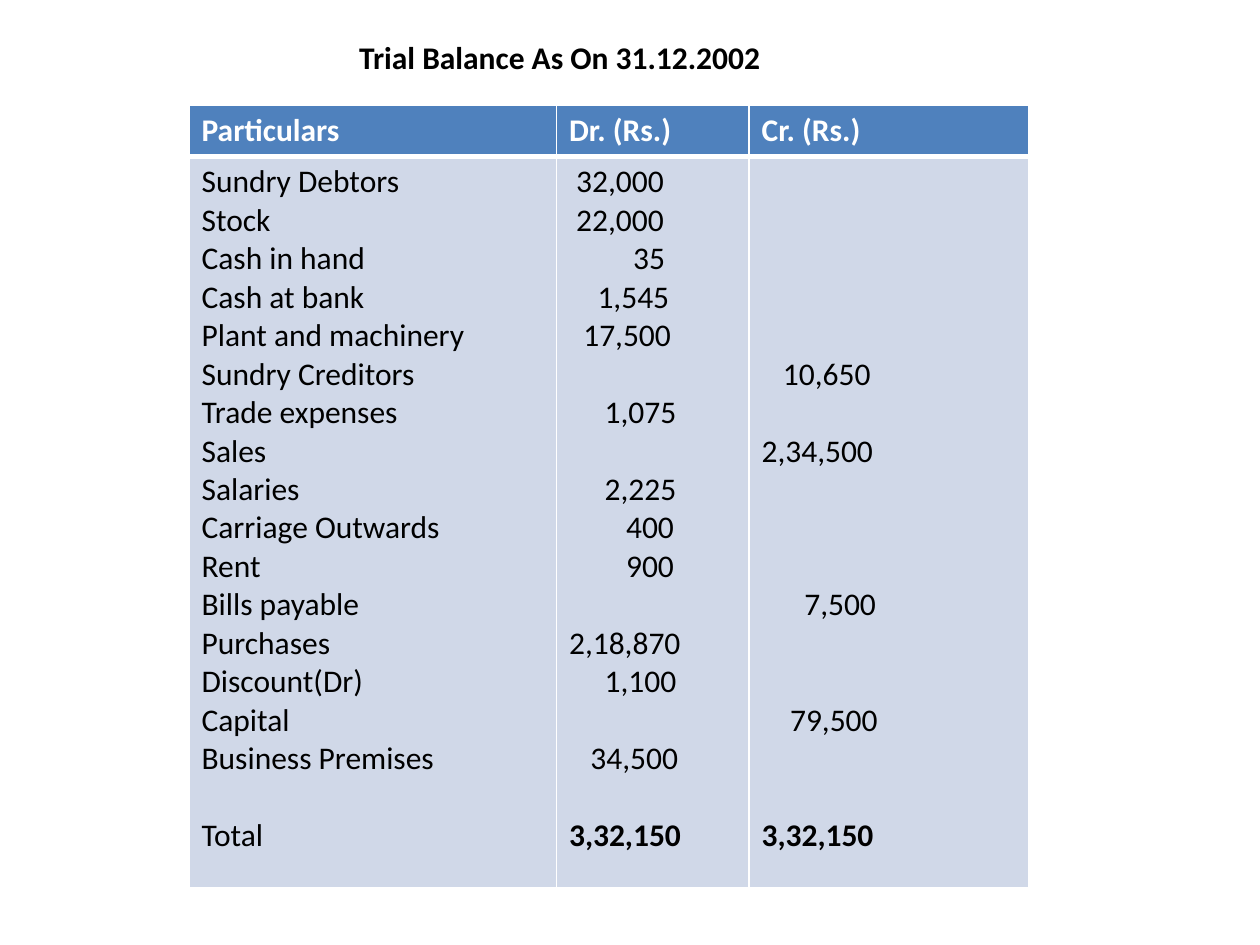
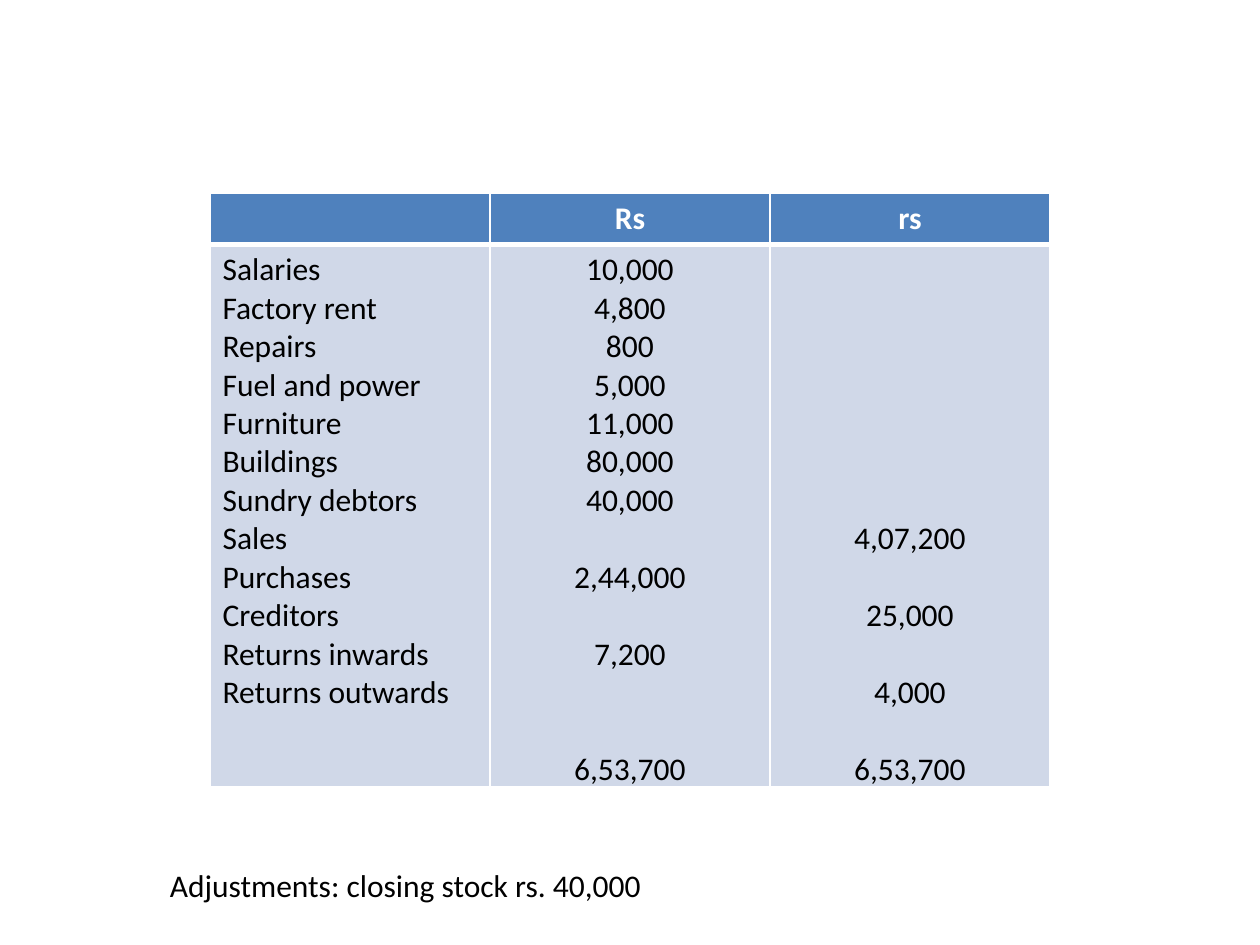
from dataclasses import dataclass

from lxml.etree import SubElement
from pptx import Presentation
from pptx.dml.color import RGBColor
from pptx.enum.text import MSO_ANCHOR as Anchor, MSO_AUTO_SIZE as AutoSize, PP_ALIGN as Align
from pptx.oxml.ns import qn
from pptx.util import Inches, Pt

WIDTH, HEIGHT = Inches(10), Inches(7.5)
TITLE_ONLY, BLANK = 5, 6
FONT = {"name": "Calibri", "size": Pt(18)}
LINE = Pt(21.97)  # one text line at 18 pt
INDENT = Pt(4.07)  # one indent step
HEADER_HEIGHT = 0.41 / 7.5
TABLE_WIDTH = 2 / 3
WHITE, BLACK, BLUE, PALE = "FFFFFF", "000000", "4F81BD", "D0D8E8"


@dataclass(frozen=True)
class Entry:
    account: str
    debit: str = ""
    credit: str = ""
    steps: int = 0  # indent of the amount
    gap: int = 0  # free lines above
    bold: bool = False  # bold amounts


@dataclass(frozen=True)
class Ledger:
    """Left, top and body height are shares of the slide, columns shares of the table."""
    left: float
    top: float
    body: float
    columns: tuple[float, ...]
    headings: tuple[str, ...]
    entries: tuple[Entry, ...]
    align: Align


TRIAL_BALANCE = Ledger(
    0.15, 1 / 9, 5.8 / 7.5, (0.4375, 0.2292, 0.3333),
    ("Particulars", "Dr. (Rs.)", "Cr. (Rs.)"),
    (
        Entry("Sundry Debtors", "32,000", steps=1),
        Entry("Stock", "22,000", steps=1),
        Entry("Cash in hand", "35", steps=9),
        Entry("Cash at bank", "1,545", steps=4),
        Entry("Plant and machinery", "17,500", steps=2),
        Entry("Sundry Creditors", credit="10,650", steps=3),
        Entry("Trade expenses", "1,075", steps=5),
        Entry("Sales", credit="2,34,500"),
        Entry("Salaries", "2,225", steps=5),
        Entry("Carriage Outwards", "400", steps=8),
        Entry("Rent", "900", steps=8),
        Entry("Bills payable", credit="7,500", steps=6),
        Entry("Purchases", "2,18,870"),
        Entry("Discount(Dr)", "1,100", steps=5),
        Entry("Capital", credit="79,500", steps=4),
        Entry("Business Premises", "34,500", steps=3),
        Entry("Total", "3,32,150", "3,32,150", gap=1, bold=True),
    ),
    Align.LEFT,
)

ADJUSTED_BALANCE = Ledger(
    1 / 6, 0.204, 4.3 / 7.5, (1 / 3, 1 / 3, 1 / 3),
    ("", "Rs", "rs"),
    (
        Entry("Salaries", "10,000"),
        Entry("Factory rent", "4,800"),
        Entry("Repairs", "800"),
        Entry("Fuel and power", "5,000"),
        Entry("Furniture", "11,000"),
        Entry("Buildings", "80,000"),
        Entry("Sundry debtors", "40,000"),
        Entry("Sales", credit="4,07,200"),
        Entry("Purchases", "2,44,000"),
        Entry("Creditors", credit="25,000"),
        Entry("Returns inwards", "7,200"),
        Entry("Returns outwards", credit="4,000"),
        Entry("", "6,53,700", "6,53,700", gap=1),
    ),
    Align.CENTER,
)


def colour(code: str) -> RGBColor:
    return RGBColor.from_string(code)


def apply(target, values: dict) -> None:
    for name, value in values.items():
        setattr(target, name, value)


def write(para, text: str, ink: str = BLACK, bold: bool = False, align=Align.LEFT) -> None:
    para.alignment = align
    span = para.add_run()
    span.text = text
    apply(span.font, FONT | {"bold": bold})
    span.font.color.rgb = colour(ink)


def paint(cell, fill: str, top: float, bottom: float) -> None:
    """Give a cell white borders and a solid fill."""
    properties = cell._tc.get_or_add_tcPr()
    for side, points in zip("LRTB", (1, 1, top, bottom)):
        line = SubElement(properties, qn(f"a:ln{side}"), w=str(Pt(points)))
        SubElement(SubElement(line, qn("a:solidFill")), qn("a:srgbClr"), val=WHITE)
    cell.fill.solid()
    cell.fill.fore_color.rgb = colour(fill)


def fill_column(cell, field: str, ledger: Ledger) -> None:
    """Set one ledger column, each amount level with its account."""
    is_amount = field != "account"
    free_lines, para = 0, None
    for entry in ledger.entries:
        free_lines += entry.gap
        text = getattr(entry, field)
        if not text:
            free_lines += 1
            continue
        if para is None:
            para = cell.text_frame.paragraphs[0]
            cell.margin_top = Inches(0.05) + free_lines * LINE
        else:
            para = cell.text_frame.add_paragraph()
            para.space_before = free_lines * LINE
        write(para, text, bold=is_amount and entry.bold,
              align=ledger.align if is_amount else Align.LEFT)
        if is_amount and entry.steps:
            apply_indent = para._p.get_or_add_pPr().set
            apply_indent("marL", str(entry.steps * INDENT))
        free_lines = 0


def add_ledger(slide, ledger: Ledger) -> None:
    heights = [int(HEIGHT * share) for share in (HEADER_HEIGHT, ledger.body)]
    table = slide.shapes.add_table(
        2, len(ledger.columns), int(WIDTH * ledger.left), int(HEIGHT * ledger.top),
        int(WIDTH * TABLE_WIDTH), sum(heights)).table
    for row, height in zip(table.rows, heights):
        row.height = height
    fields = ("account", "debit", "credit")
    for index, (share, heading, field) in enumerate(zip(ledger.columns, ledger.headings, fields)):
        table.columns[index].width = int(WIDTH * TABLE_WIDTH * share)
        header, body = table.cell(0, index), table.cell(1, index)
        paint(header, BLUE, 1, 3)
        paint(body, PALE, 3, 1)
        if heading:
            write(header.text_frame.paragraphs[0], heading, WHITE, True, ledger.align)
        body.margin_bottom = 0
        fill_column(body, field, ledger)


def place_text(box, text: str, area: tuple[float, ...], wrap: bool, bold: bool = False) -> None:
    """Place a text shape in an area given as shares of the slide."""
    left, top, width, height = area
    apply(box, {"left": int(WIDTH * left), "top": int(HEIGHT * top),
                "width": int(WIDTH * width), "height": int(HEIGHT * height)})
    apply(box.text_frame, {"word_wrap": wrap, "vertical_anchor": Anchor.TOP,
                           "auto_size": AutoSize.SHAPE_TO_FIT_TEXT})
    write(box.text_frame.paragraphs[0], text, bold=bold)


def main() -> None:
    deck = Presentation()
    deck.slide_width, deck.slide_height = WIDTH, HEIGHT

    trial = deck.slides.add_slide(deck.slide_layouts[TITLE_ONLY])
    add_ledger(trial, TRIAL_BALANCE)
    place_text(trial.shapes.title, "Trial Balance As On 31.12.2002",
               (0.275, 1 / 30, 0.341, 0.4 / 7.5), wrap=False, bold=True)

    adjusted = deck.slides.add_slide(deck.slide_layouts[BLANK])
    add_ledger(adjusted, ADJUSTED_BALANCE)
    place_text(adjusted.shapes.add_textbox(0, 0, 0, 0), "Adjustments: closing stock rs. 40,000",
               (0.125, 0.91, 0.4, 0.42 / 7.5), wrap=True)

    deck.save("out.pptx")


if __name__ == "__main__":
    main()
